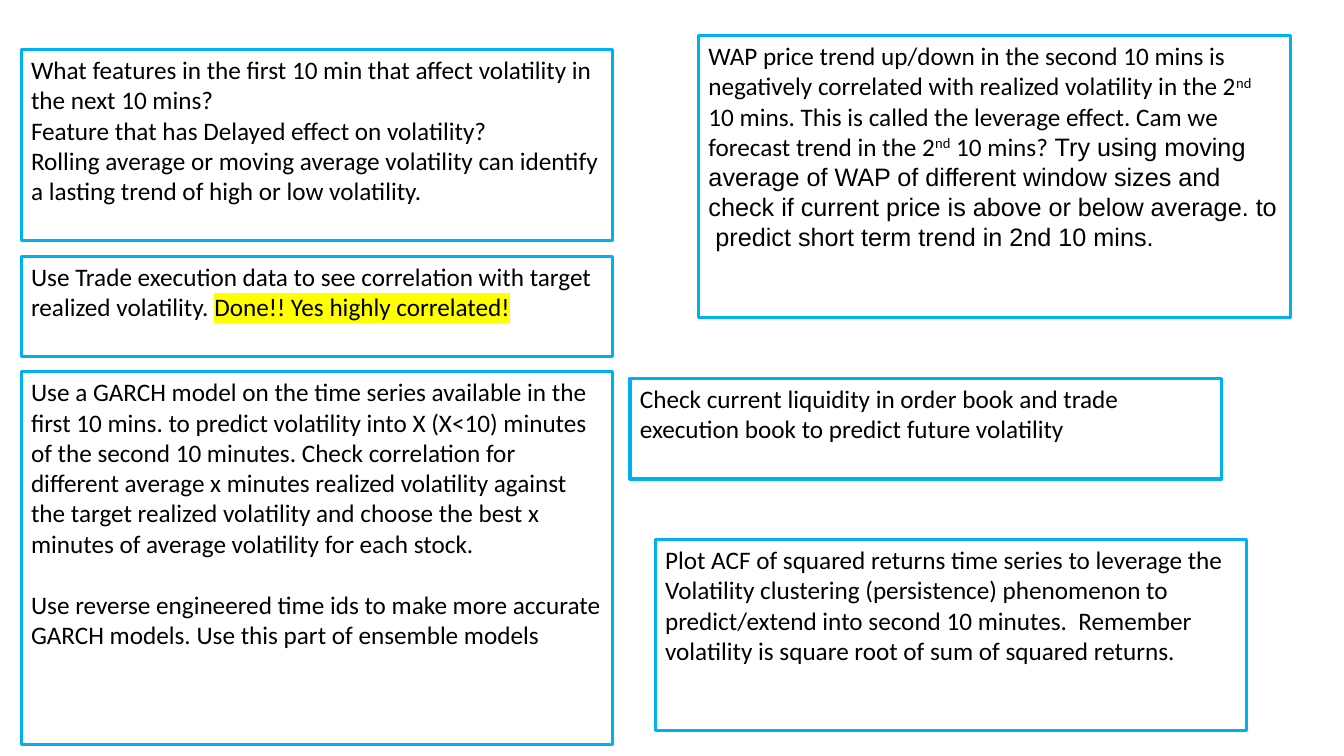
from lxml import etree
from pptx import Presentation
from pptx.dml.color import RGBColor
from pptx.enum.text import MSO_ANCHOR, MSO_AUTO_SIZE
from pptx.oxml.ns import qn
from pptx.util import Pt

TOP = MSO_ANCHOR.TOP
NO_AUTOFIT = MSO_AUTO_SIZE.NONE

BLACK = RGBColor(0x00, 0x00, 0x00)
BORDER_BLUE = RGBColor(0x00, 0xB0, 0xF0)
YELLOW = RGBColor(0xFF, 0xFF, 0x00)

BLANK_LAYOUT = 6
BOX_WIDTH = 422.6
LEFT_COLUMN = 15.1
FONT_SIZE = 18
SECTION_GAP = 22

PLAIN, HIGHLIGHT, SUPERSCRIPT, ARIAL = range(4)


def highlight(run):
    properties = run.font._element
    marker = etree.Element(qn("a:highlight"))
    etree.SubElement(marker, qn("a:srgbClr"), val=str(YELLOW))
    properties.find(qn("a:solidFill")).addnext(marker)


def add_run(paragraph, text, style):
    run = paragraph.add_run()
    run.text = text
    run.font.size = Pt(FONT_SIZE)
    run.font.name = "Arial" if style == ARIAL else "Calibri"
    run.font.color.rgb = BLACK
    if style == HIGHLIGHT:
        highlight(run)
    elif style == SUPERSCRIPT:
        run.font._element.set("baseline", "30000")


def add_idea_box(slide, left, top, height, paragraphs, gap=0):
    """Add a bordered note; each paragraph is a list of (text, style) runs."""
    box = slide.shapes.add_textbox(Pt(left), Pt(top), Pt(BOX_WIDTH), Pt(height))
    box.line.color.rgb = BORDER_BLUE
    box.line.width = Pt(2.25)
    text_frame = box.text_frame
    text_frame.word_wrap = True
    text_frame.auto_size = NO_AUTOFIT
    text_frame.vertical_anchor = TOP
    for index, runs in enumerate(paragraphs):
        if index == 0:
            paragraph = text_frame.paragraphs[0]
        else:
            paragraph = text_frame.add_paragraph()
            paragraph.space_before = Pt(gap)
        for text, style in runs:
            add_run(paragraph, text, style)


def main():
    presentation = Presentation()
    presentation.slide_width = Pt(960)
    presentation.slide_height = Pt(540)
    slide = presentation.slides.add_slide(presentation.slide_layouts[BLANK_LAYOUT])

    add_idea_box(slide, LEFT_COLUMN, 35.3, 136.8, [
        [("What features in the first 10 min that affect volatility in the next 10 mins?", PLAIN)],
        [("Feature that has Delayed effect on volatility?", PLAIN)],
        [("Rolling average or moving average volatility can identify a lasting trend "
          "of high or low volatility.", PLAIN)],
    ])
    add_idea_box(slide, LEFT_COLUMN, 183, 72, [[
        ("Use Trade execution data to see correlation with target realized volatility. ", PLAIN),
        ("Done!! Yes highly correlated!", HIGHLIGHT),
    ]])
    add_idea_box(slide, LEFT_COLUMN, 265.5, 266.4, [
        [("Use a GARCH model on the time series available in the first 10 mins. to predict "
          "volatility into X (X<10) minutes of the second 10 minutes. Check correlation for "
          "different average x minutes realized volatility against the target realized "
          "volatility and choose the best x minutes of average volatility for each stock.", PLAIN)],
        [("Use reverse engineered time ids to make more accurate GARCH models. "
          "Use this part of ensemble models", PLAIN)],
    ], gap=SECTION_GAP)
    add_idea_box(slide, 468, 385.3, 136.8, [[
        ("Plot ACF of squared returns time series to leverage the Volatility clustering "
         "(persistence) phenomenon to predict/extend into second 10 minutes.  Remember "
         "volatility is square root of sum of squared returns.", PLAIN),
    ]])
    add_idea_box(slide, 499, 25.3, 201.6, [[
        ("WAP price trend up/down in the second 10 mins is negatively correlated with "
         "realized volatility in the 2", PLAIN),
        ("nd", SUPERSCRIPT),
        (" 10 mins. This is called the leverage effect. Cam we forecast trend in the 2", PLAIN),
        ("nd", SUPERSCRIPT),
        (" 10 mins?", PLAIN),
        (" Try using moving average of WAP of different window sizes and check if current "
         "price is above or below average. to  predict short term trend in 2nd 10 mins.", ARIAL),
    ]])
    add_idea_box(slide, 450, 270.2, 72, [[
        ("Check current liquidity in order book and trade execution book "
         "to predict future volatility", PLAIN),
    ]])

    presentation.save("out.pptx")


if __name__ == "__main__":
    main()
